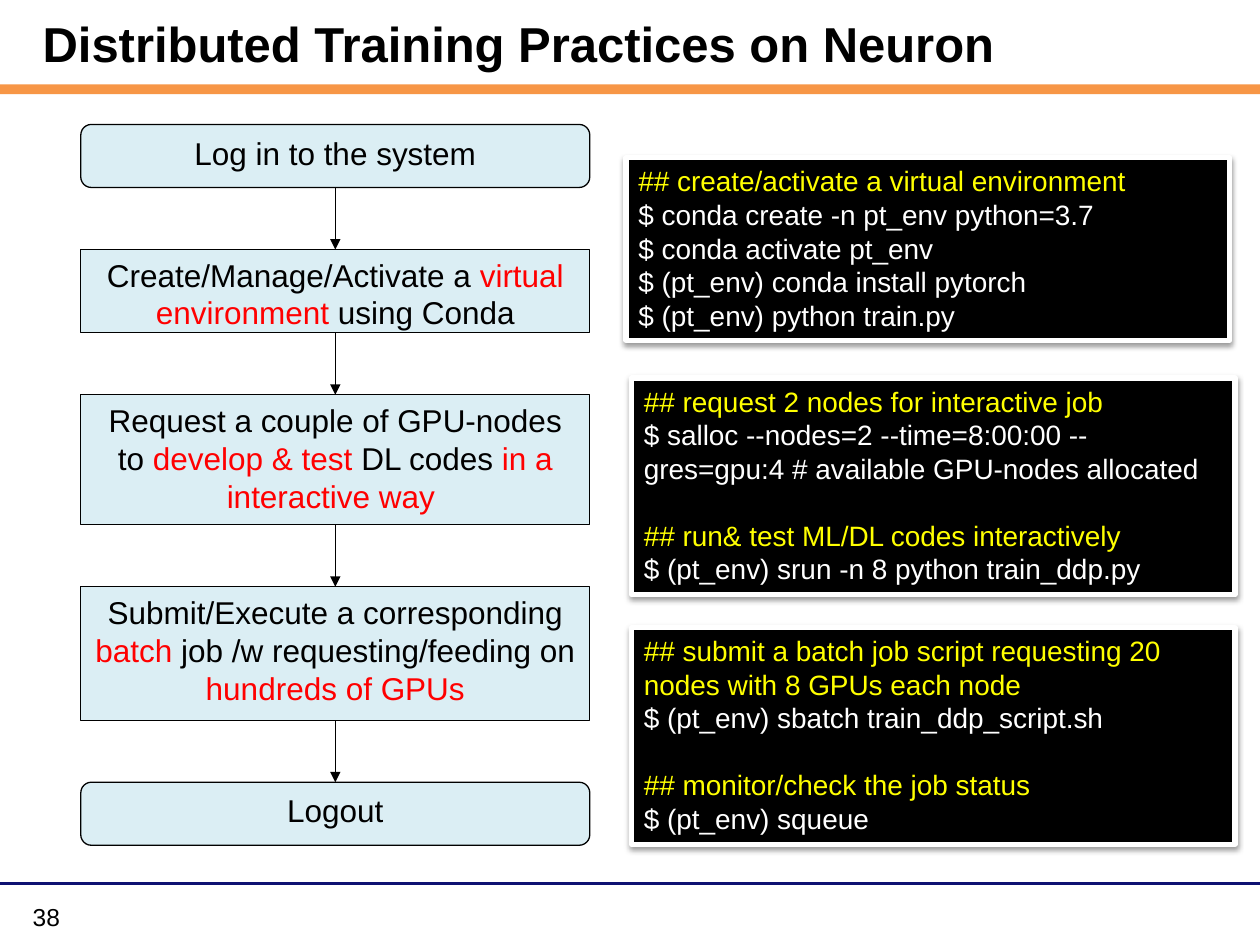
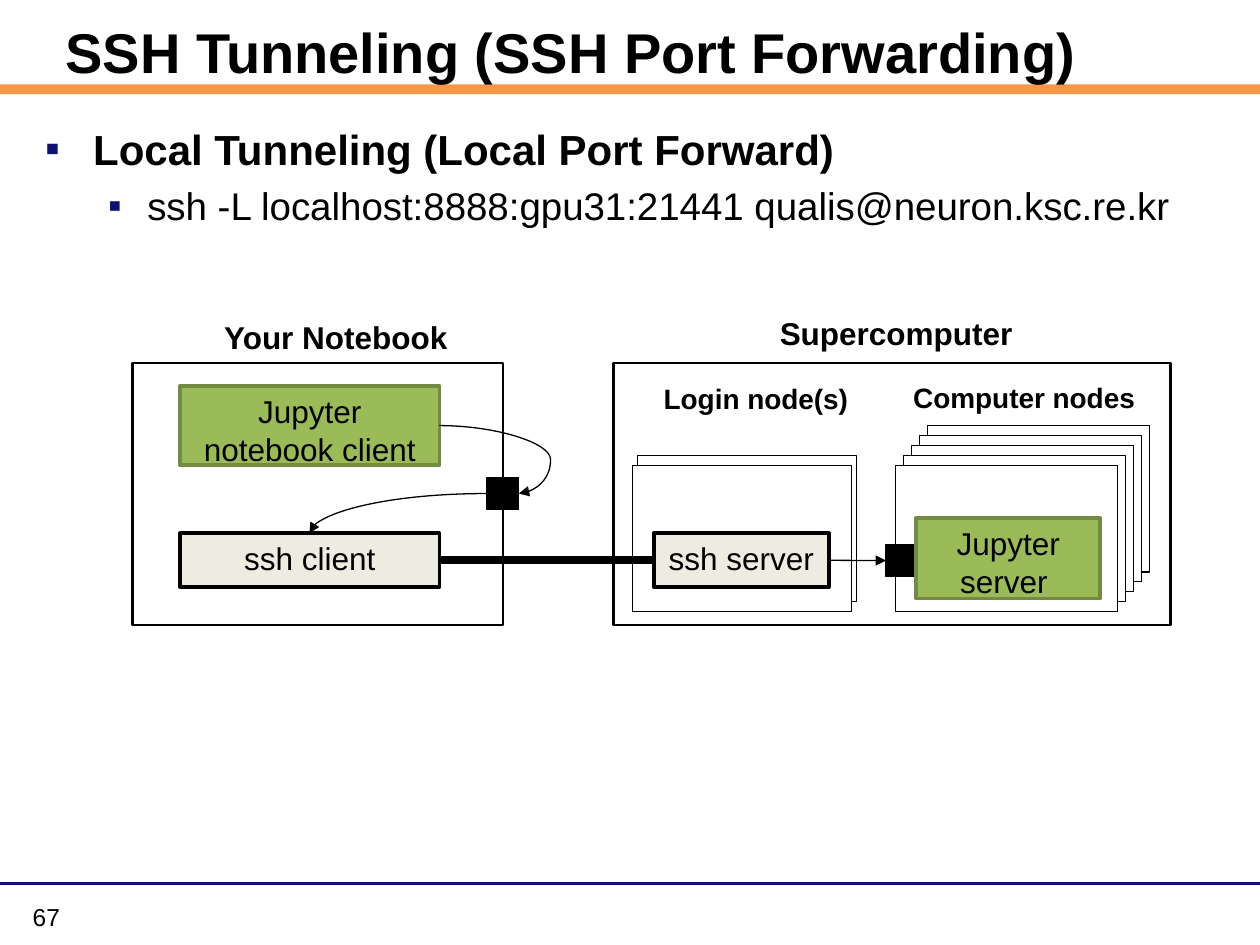
from lxml.etree import SubElement
from pptx import Presentation
from pptx.dml.color import RGBColor
from pptx.enum.shapes import MSO_CONNECTOR as Link, MSO_SHAPE as Preset
from pptx.enum.text import MSO_ANCHOR as Anchor, PP_ALIGN as Align
from pptx.oxml.ns import qn
from pptx.util import Cm, Pt

COLORS = {
    "black": "000000", "white": "FFFFFF", "red": "FF0000", "yellow": "FFFF00",
    "orange": "F79646", "navy": "0E1172", "sky": "DBEEF4",
    "green": "9BBB59", "olive": "738A42", "cream": "EEECE1",
}
FONT = "Arial"
WIDTH, HEIGHT = 25.4, 19.05
TOP, LEFT, BOTTOM, RIGHT = 0, 1, 2, 3  # connection sites

FLOW_GAP = 1.25
FLOW_STEPS = [  # text with |highlights|, height, preset
    ("Log in to the system", 1.27, Preset.FLOWCHART_ALTERNATE_PROCESS),
    ("Create/Manage/Activate a |virtual environment| using Conda", 1.68, Preset.RECTANGLE),
    ("Request a couple of GPU-nodes to |develop & test |DL codes |in a interactive way ",
     2.62, Preset.RECTANGLE),
    ("Submit/Execute a corresponding |batch| job /w requesting/feeding on |hundreds of GPUs",
     2.69, Preset.RECTANGLE),
    ("Logout", 1.27, Preset.FLOWCHART_ALTERNATE_PROCESS),
]
TERMINALS = [  # left, top, height, lines
    (12.62, 3.18, 3.68, [
        "## create/activate a virtual environment",
        "$ conda create -n pt_env python=3.7",
        "$ conda activate pt_env",
        "$ (pt_env) conda install pytorch",
        "$ (pt_env) python train.py"]),
    (12.73, 7.62, 4.37, [
        "## request 2 nodes for interactive job",
        "$ salloc --nodes=2 --time=8:00:00 --gres=gpu:4 # available GPU-nodes allocated",
        "## run& test ML/DL codes interactively",
        "$ (pt_env) srun -n 8 python train_ddp.py"]),
    (12.73, 12.65, 4.37, [
        "## submit a batch job script requesting 20 nodes with 8 GPUs each node",
        "$ (pt_env) sbatch train_ddp_script.sh",
        "## monitor/check the job status",
        "$ (pt_env) squeue"]),
]


def rgb(name):
    return RGBColor.from_string(COLORS[name])


def write(paragraph, text, size=18, color="black", accent="red", bold=False,
          align=Align.LEFT, before=0):
    """Write text; parts between bars take the accent colour."""
    paragraph.alignment = align
    paragraph.space_before = Pt(before)
    for index, part in enumerate(text.split("|")):
        run = paragraph.add_run()
        run.text = part
        font = run.font
        font.name, font.size, font.bold = FONT, Pt(size), bold
        font.color.rgb = rgb(accent if index % 2 else color)


def add_box(slide, left, top, width, height, fill=None, line=None, weight=0.75,
            preset=Preset.RECTANGLE, text=None, wrap=True, **style):
    shape = slide.shapes.add_shape(preset, Cm(left), Cm(top), Cm(width), Cm(height))
    shape.shadow.inherit = False
    if fill:
        shape.fill.solid()
        shape.fill.fore_color.rgb = rgb(fill)
    else:
        shape.fill.background()
    if line:
        shape.line.color.rgb = rgb(line)
        shape.line.width = Pt(weight)
    else:
        shape.line.fill.background()
    frame = shape.text_frame
    frame.word_wrap = wrap
    frame.vertical_anchor = Anchor.TOP
    if text:
        write(frame.paragraphs[0], text, **style)
    return shape


def add_textbox(slide, left, top, width, height, anchor=Anchor.TOP):
    frame = slide.shapes.add_textbox(Cm(left), Cm(top), Cm(width), Cm(height)).text_frame
    frame.word_wrap = True
    frame.vertical_anchor = anchor
    return frame


def add_line(slide, start=(0, 0), end=(0, 0), color="black", weight=0.75,
             arrow=False, kind=Link.STRAIGHT):
    points = [Cm(value) for value in (*start, *end)]
    connector = slide.shapes.add_connector(kind, *points)
    connector.line.color.rgb = rgb(color)
    connector.line.width = Pt(weight)
    if arrow:
        SubElement(connector.line._get_or_add_ln(), qn("a:tailEnd"), type="triangle")
    SubElement(connector._element.spPr, qn("a:effectLst"))
    return connector


def join(slide, first, first_side, second, second_side, **style):
    connector = add_line(slide, **style)
    connector.begin_connect(first, first_side)
    connector.end_connect(second, second_side)


def add_base(presentation, title, number, left, top, width, size):
    """Blank slide with band, footer rule, title and slide number."""
    slide = presentation.slides.add_slide(presentation.slide_layouts[6])
    add_line(slide, (0, 17.81), (WIDTH, 17.81), color="navy", weight=2.25)
    add_box(slide, 0, 1.7, WIDTH, 0.2, fill="orange")
    frame = add_textbox(slide, left, top, width, 1.57, Anchor.MIDDLE)
    write(frame.paragraphs[0], title, size=size, bold=True)
    frame = add_textbox(slide, 0.41, 18.06, 5.92, 0.66)
    write(frame.paragraphs[0], str(number), size=14)
    return slide


def add_flow(slide, left, top, width):
    previous = None
    for text, height, preset in FLOW_STEPS:
        step = add_box(slide, left, top, width, height, fill="sky", line="black",
                       preset=preset, text=text, align=Align.CENTER)
        if previous:
            join(slide, previous, BOTTOM, step, TOP, arrow=True)
        previous = step
        top += height + FLOW_GAP


def add_terminal(slide, left, top, width, height, lines):
    shape = add_box(slide, left, top, width, height, fill="black", line="white", weight=3)
    # Soft shadow below the box
    effects = shape._element.spPr.find(qn("a:effectLst"))
    shadow = SubElement(effects, qn("a:outerShdw"), blurRad="40000", dist="20000",
                        dir="5400000", rotWithShape="0")
    color = SubElement(shadow, qn("a:srgbClr"), val=COLORS["black"])
    SubElement(color, qn("a:alpha"), val="38000")
    # Comments are yellow, and later ones start a new block
    frame = shape.text_frame
    for index, line in enumerate(lines):
        paragraph = frame.add_paragraph() if index else frame.paragraphs[0]
        comment = line.startswith("##")
        write(paragraph, line, size=16, color="yellow" if comment else "white",
              before=19 if comment and index else 0)


def add_bullets(slide, left, top, width, height):
    frame = add_textbox(slide, left, top, width, height)
    bullets = [
        ("Local Tunneling (Local Port Forward)", 0, 0.97, 0.97, dict(size=24, bold=True)),
        ("ssh -L localhost:8888:gpu31:21441 qualis@neuron.ksc.re.kr", 1, 2.06, 0.79,
         dict(size=22, before=5)),
    ]
    for index, (text, level, margin, hanging, style) in enumerate(bullets):
        paragraph = frame.add_paragraph() if index else frame.paragraphs[0]
        paragraph.level = level
        properties = paragraph._p.get_or_add_pPr()
        properties.set("marL", str(Cm(margin)))
        properties.set("indent", str(-Cm(hanging)))
        color = SubElement(properties, qn("a:buClr"))
        SubElement(color, qn("a:srgbClr"), val=COLORS["navy"])
        SubElement(properties, qn("a:buFont"), typeface=FONT)
        SubElement(properties, qn("a:buChar"), char="▪")
        write(paragraph, text, **style)


def add_program(slide, left, top, width, height, text, jupyter=False):
    fill, line = ("green", "olive") if jupyter else ("cream", "black")
    return add_box(slide, left, top, width, height, fill=fill, line=line, weight=2,
                   text=text, align=Align.CENTER)


def add_port(slide, left, top):
    return add_box(slide, left, top, 0.64, 0.64, fill="black", line="black")


def add_label(slide, left, top, width, text, size=18, wrap=False):
    add_box(slide, left, top, width, 1.02 if size == 18 else 0.94, fill="white",
            text=text, size=size, bold=True, wrap=wrap)


def add_node_stack(slide, left, top, width, count, shift):
    """Overlapping cards, the front one at left and top."""
    for depth in reversed(range(count)):
        add_box(slide, left + depth * shift, top - depth * 0.2, width, 2.95,
                fill="white", line="black")


def add_notebook(slide, left, top, width, height):
    add_label(slide, left + 1.6, top - 1.04, 5.36, "Your Notebook", wrap=True)
    add_box(slide, left, top, width, height, line="black", weight=1.5)
    inner = left + 0.96
    add_program(slide, inner, top + 0.46, 5.23, 1.6, "Jupyter notebook client", jupyter=True)
    client = add_program(slide, inner, top + 3.43, 5.23, 1.09, "ssh client")
    port_left, port_middle = left + width - 0.32, top + 2.63
    add_port(slide, port_left, port_middle - 0.32)
    # Notebook client to port, looping round its right side
    loop = add_line(slide, (inner + 5.23, top + 1.26), (port_left + 0.64, port_middle),
                    arrow=True, kind=Link.CURVE)
    geometry = loop._element.spPr.find(qn("a:prstGeom"))
    SubElement(geometry.find(qn("a:avLst")), qn("a:gd"), name="adj1", fmla="val 140000")
    # Port down to the ssh client
    bend = add_line(slide, (port_left, port_middle), (inner + 2.61, top + 3.43),
                    arrow=True, kind=Link.CURVE)
    bend._element.spPr.find(qn("a:prstGeom")).set("prst", "curvedConnector2")
    return client


def add_supercomputer(slide, left, top, width, height):
    add_label(slide, left + 3.1, top - 1.12, 5.44, "Supercomputer")
    add_box(slide, left, top, width, height, line="black", weight=1.5)
    add_node_stack(slide, left + 0.38, top + 2.06, 4.42, count=2, shift=0.1)
    add_node_stack(slide, left + 5.69, top + 2.06, 4.47, count=5, shift=0.16)
    add_label(slide, left + 0.76, top + 0.25, 4.45, "Login node(s)", size=16)
    add_label(slide, left + 5.79, top + 0.23, 5.21, "Computer nodes", size=16)
    port = add_port(slide, left + 5.49, top + 3.66)
    add_program(slide, left + 6.1, top + 3.12, 3.71, 1.63, "Jupyter server ", jupyter=True)
    server = add_program(slide, left + 0.81, top + 3.43, 3.53, 1.09, "ssh server")
    join(slide, server, RIGHT, port, LEFT, arrow=True)
    return server


def build_training_slide(presentation):
    slide = add_base(presentation, "Distributed Training Practices on Neuron", 38,
                     0.61, 0.08, 24.79, size=28)
    add_flow(slide, 1.63, 2.51, 10.26)
    for left, top, height, lines in TERMINALS:
        add_terminal(slide, left, top, 12.17, height, lines)


def build_tunneling_slide(presentation):
    slide = add_base(presentation, "SSH Tunneling (SSH Port Forwarding)", 67,
                     1.07, 0.25, 23.32, size=32)
    add_bullets(slide, 0.66, 2.36, 24.1, 3)
    client = add_notebook(slide, 2.67, 7.32, 7.47, 5.28)
    server = add_supercomputer(slide, 12.37, 7.32, 11.23, 5.28)
    join(slide, client, RIGHT, server, LEFT, weight=4.5)


def main():
    presentation = Presentation()
    presentation.slide_width, presentation.slide_height = Cm(WIDTH), Cm(HEIGHT)
    build_training_slide(presentation)
    build_tunneling_slide(presentation)
    presentation.save("out.pptx")


if __name__ == "__main__":
    main()
